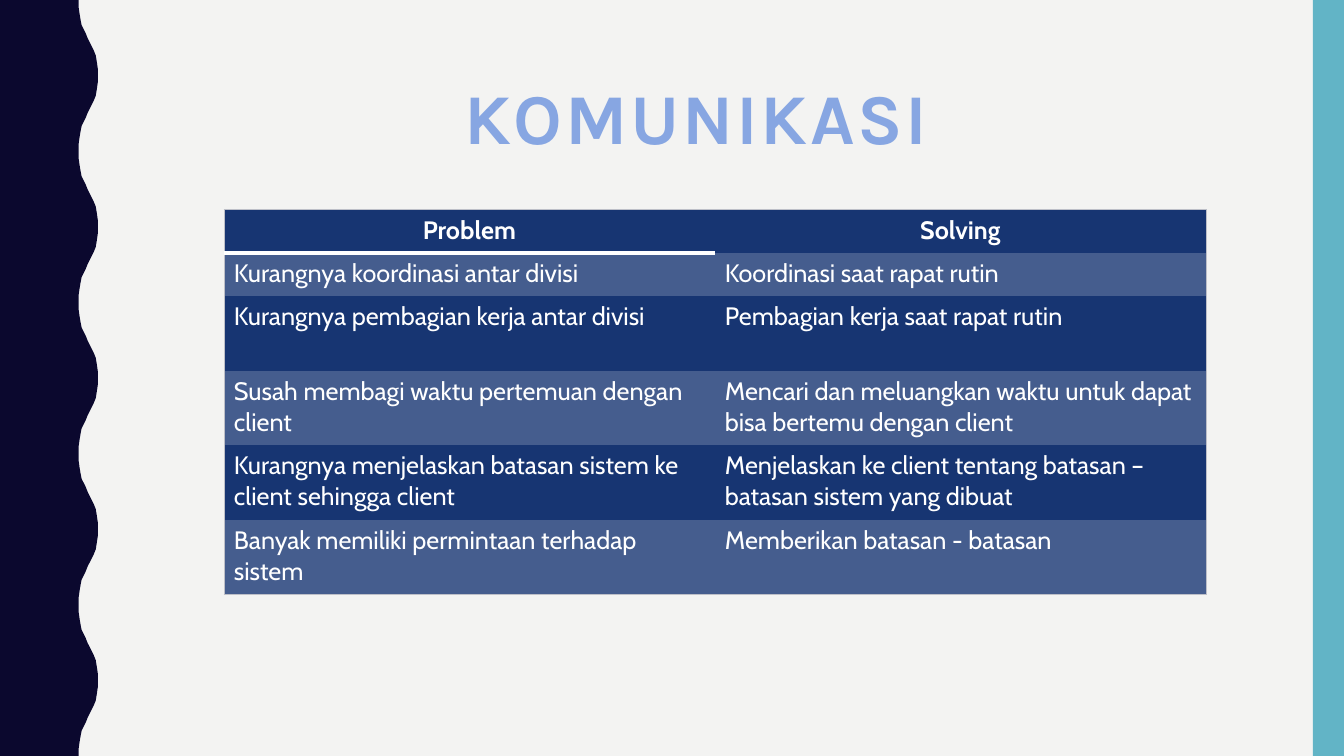
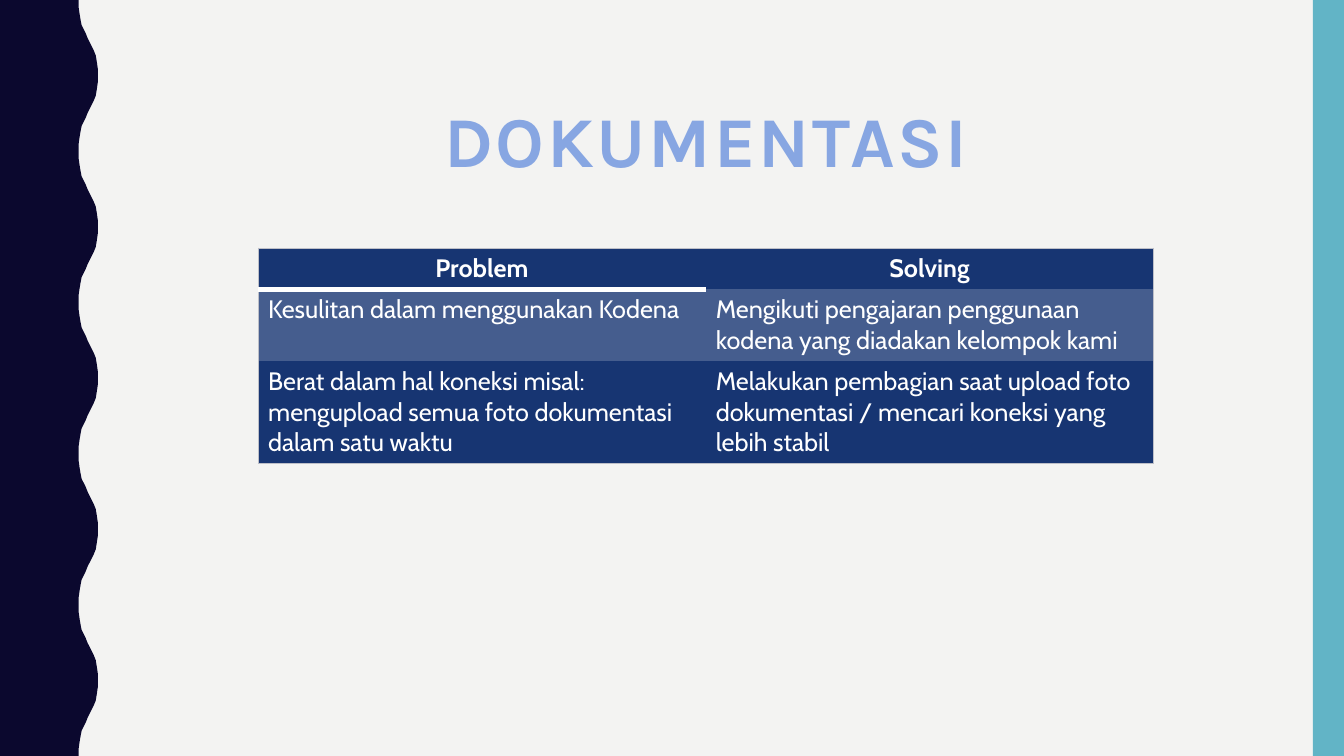
"""Build two problem-and-solution slides on a shared wave-edged design."""
import dataclasses

import lxml.etree
import pptx
import pptx.dml.color
import pptx.enum.dml
import pptx.enum.text
import pptx.oxml.ns
import pptx.util

Inches = pptx.util.Inches
Pt = pptx.util.Pt

COLOURS = {
    "page": "F3F3F2",
    "wave": "0B082E",
    "band": "62B4C6",
    "title": "87A6E2",
    "outline": "1B376E",
    "dark": "173572",
    "light": "455D8E",
    "border": "BDBFC8",
    "white": "FFFFFF",
}
TITLE_FONT, TABLE_FONT = "Karla", "Cabin"
PLAIN_TABLE_STYLE = "{2D5ABB26-0587-4C30-8999-92F81FD0307C}"
PAGE_WIDTH, PAGE_HEIGHT = 13.33, 7.5
BAND_WIDTH = 0.31
WAVE_PERIOD = 1.5
WAVE_RISE = [
    (0.78, 0), (0.78, 0.07), (0.79, 0.14), (0.8, 0.2), (0.81, 0.25),
    (0.83, 0.29), (0.85, 0.33), (0.87, 0.38), (0.89, 0.42), (0.91, 0.46),
    (0.93, 0.5), (0.95, 0.55), (0.96, 0.61), (0.97, 0.68), (0.97, 0.75),
]


@dataclasses.dataclass(frozen=True)
class ProblemPage:
    title: str
    title_left: float
    title_top: float
    table_left: float
    table_top: float
    column_width: float
    row_heights: list[float]
    rows: list[tuple[str, str]]


PAGES = [
    ProblemPage(
        "KOMUNIKASI", 1.34, 0.74, 2.22, 2.08, 4.87,
        [0.43, 0.43, 0.74, 0.74, 0.74, 0.74],
        [
            ("Kurangnya koordinasi antar divisi", "Koordinasi saat rapat rutin"),
            ("Kurangnya pembagian kerja antar divisi", "Pembagian kerja saat rapat rutin"),
            ("Susah membagi waktu pertemuan dengan client",
             "Mencari dan meluangkan waktu untuk dapat bisa bertemu dengan client"),
            ("Kurangnya menjelaskan batasan sistem ke client sehingga client",
             "Menjelaskan ke client tentang batasan – batasan sistem yang dibuat"),
            ("Banyak memiliki permintaan terhadap sistem", "Memberikan batasan - batasan"),
        ],
    ),
    ProblemPage(
        "DOKUMENTASI", 1.44, 0.97, 2.56, 2.46, 4.44,
        [0.41, 0.71, 1.01],
        [
            ("Kesulitan dalam menggunakan Kodena",
             "Mengikuti pengajaran penggunaan kodena yang diadakan kelompok kami"),
            ("Berat dalam hal koneksi misal: mengupload semua foto dokumentasi dalam satu waktu",
             "Melakukan pembagian saat upload foto dokumentasi / mencari koneksi yang lebih stabil"),
        ],
    ),
]


def colour(name: str) -> pptx.dml.color.RGBColor:
    return pptx.dml.color.RGBColor.from_string(COLOURS[name])


def write_text(frame, text: str, *, font: str, size: float, fill: str,
               bold: bool = False, centred: bool = False, line_spacing: float = 1.0):
    para = frame.paragraphs[0]
    para.alignment = (pptx.enum.text.PP_ALIGN.CENTER if centred
                      else pptx.enum.text.PP_ALIGN.LEFT)
    para.line_spacing = line_spacing
    span = para.add_run()
    span.text = text
    span.font.name = font
    span.font.size = Pt(size)
    span.font.bold = bold
    span.font.color.rgb = colour(fill)
    return span


def line_element(tag: str, name: str, width: float):
    line = lxml.etree.Element(pptx.oxml.ns.qn(f"a:{tag}"), w=str(Pt(width)))
    fill = lxml.etree.SubElement(line, pptx.oxml.ns.qn("a:solidFill"))
    lxml.etree.SubElement(fill, pptx.oxml.ns.qn("a:srgbClr"), val=COLOURS[name])
    return line


def paint(shape, name: str) -> None:
    shape.shadow.inherit = False
    shape.fill.solid()
    shape.fill.fore_color.rgb = colour(name)
    shape.line.fill.background()


def draw_bands(page) -> None:
    crest = [(x, WAVE_PERIOD - y) for x, y in reversed(WAVE_RISE[:-1])]
    edge = [
        (Inches(x), Inches(y + period * WAVE_PERIOD))
        for period in range(round(PAGE_HEIGHT / WAVE_PERIOD))
        for x, y in WAVE_RISE + crest
    ]
    outline = page.shapes.build_freeform(0, 0)
    outline.add_line_segments(edge + [(0, Inches(PAGE_HEIGHT))], close=True)
    paint(outline.convert_to_shape(), "wave")
    band = page.shapes.add_shape(
        pptx.enum.shapes.MSO_SHAPE.RECTANGLE, Inches(PAGE_WIDTH - BAND_WIDTH), 0,
        Inches(BAND_WIDTH), Inches(PAGE_HEIGHT))
    paint(band, "band")


def draw_title(page, content: ProblemPage) -> None:
    box = page.shapes.title
    box.left, box.top = Inches(content.title_left), Inches(content.title_top)
    box.width, box.height = Inches(11.13), Inches(0.93)
    frame = box.text_frame
    frame.word_wrap = True
    frame.auto_size = pptx.enum.text.MSO_AUTO_SIZE.NONE
    frame.vertical_anchor = pptx.enum.text.MSO_ANCHOR.MIDDLE
    span = write_text(frame, content.title, font=TITLE_FONT, size=51, fill="title",
                      bold=True, centred=True, line_spacing=0.9)
    properties = span.font.fill and span.font
    run_properties = span._r.get_or_add_rPr()
    run_properties.set("spc", "200")
    run_properties.insert(0, line_element("ln", "outline", 1.75))


def set_borders(cell, borders: dict[str, tuple[str, float]]) -> None:
    properties = cell._tc.get_or_add_tcPr()
    for index, (tag, (name, width)) in enumerate(borders.items()):
        properties.insert(index, line_element(tag, name, width))


def draw_table(page, content: ProblemPage) -> None:
    rows = [("Problem", "Solving"), *content.rows]
    frame = page.shapes.add_table(
        len(rows), 2, Inches(content.table_left), Inches(content.table_top),
        Inches(2 * content.column_width), Inches(sum(content.row_heights)))
    table = frame.table
    table.horz_banding = False
    style = frame.element.find(f".//{pptx.oxml.ns.qn('a:tableStyleId')}")
    style.text = PLAIN_TABLE_STYLE
    for column in table.columns:
        column.width = Inches(content.column_width)
    frame_line = ("border", 0.5)
    for row_index, texts in enumerate(rows):
        table.rows[row_index].height = Inches(content.row_heights[row_index])
        header = row_index == 0
        for column_index, text in enumerate(texts):
            cell = table.cell(row_index, column_index)
            cell.fill.solid()
            cell.fill.fore_color.rgb = colour("light" if row_index % 2 else "dark")
            write_text(cell.text_frame, text, font=TABLE_FONT, size=18, fill="white",
                       bold=header, centred=header)
            borders = {"lnR" if column_index else "lnL": frame_line}
            if header:
                borders["lnT"] = frame_line
                if column_index == 0:
                    borders["lnB"] = ("white", 4)
            elif row_index == len(rows) - 1:
                borders["lnB"] = frame_line
            set_borders(cell, borders)


def main() -> None:
    deck = pptx.Presentation()
    deck.slide_width, deck.slide_height = Inches(PAGE_WIDTH), Inches(PAGE_HEIGHT)
    background = deck.slide_master.background.fill
    background.solid()
    background.fore_color.rgb = colour("page")
    for content in PAGES:
        page = deck.slides.add_slide(deck.slide_layouts[5])
        draw_bands(page)
        draw_title(page, content)
        draw_table(page, content)
    deck.save("out.pptx")


if __name__ == "__main__":
    main()
